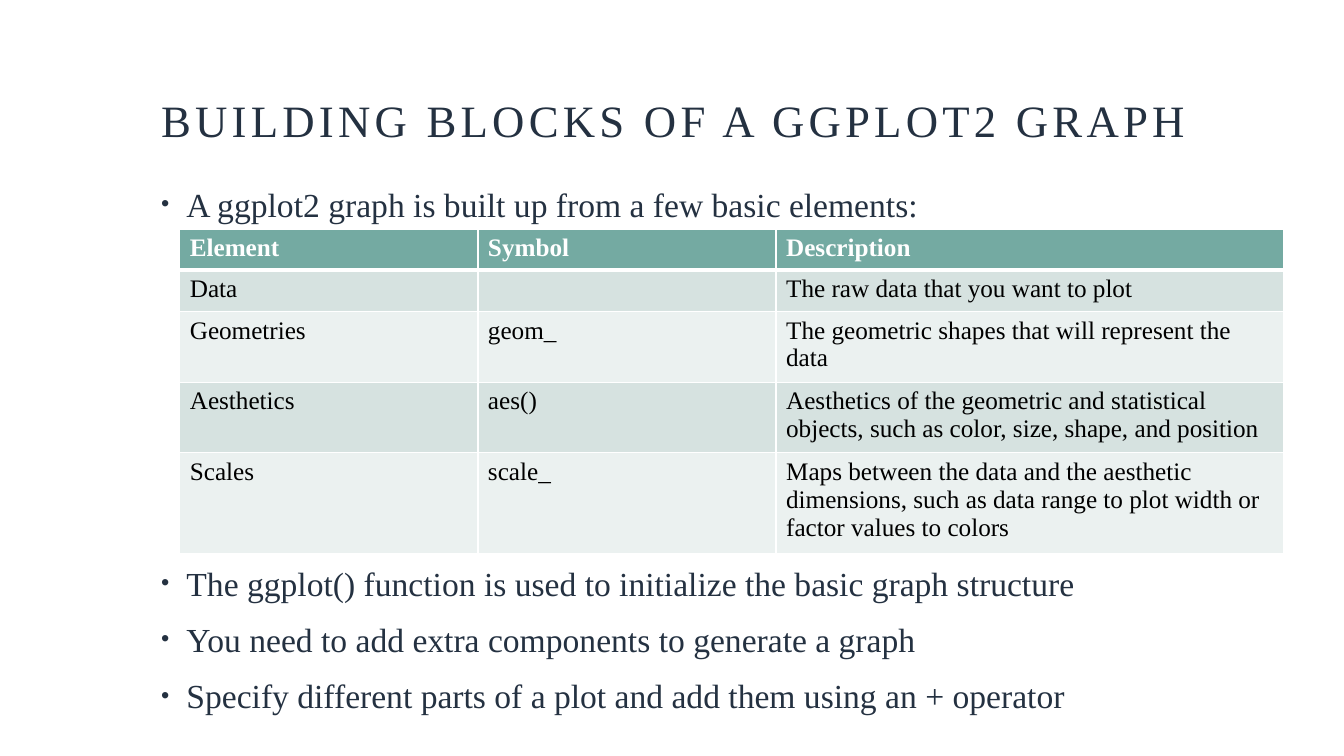
from lxml import etree
from pptx import Presentation
from pptx.dml.color import RGBColor
from pptx.enum.text import MSO_ANCHOR
from pptx.oxml.ns import qn
from pptx.util import Cm, Pt

BOTTOM = MSO_ANCHOR.BOTTOM
FONT = "Times New Roman"
NAVY = RGBColor(0x24, 0x31, 0x41)
TEAL = RGBColor(0x74, 0xAA, 0xA2)
BAND_DARK = RGBColor(0xD6, 0xE2, 0xE0)
BAND_LIGHT = RGBColor(0xEB, 0xF1, 0xF0)
WHITE = RGBColor(0xFF, 0xFF, 0xFF)
BLACK = RGBColor(0x00, 0x00, 0x00)

TITLE = "BUILDING BLOCKS OF A GGPLOT2 GRAPH"
INTRODUCTION = ["A ggplot2 graph is built up from a few basic elements:"]
STEPS = [
    "The ggplot() function is used to initialize the basic graph structure",
    "You need to add extra components to generate a graph",
    "Specify different parts of a plot and add them using an + operator",
]
ELEMENTS = [
    ("Element", "Symbol", "Description"),
    ("Data", "", "The raw data that you want to plot"),
    ("Geometries", "geom_", "The geometric shapes that will represent the data"),
    ("Aesthetics", "aes()", "Aesthetics of the geometric and statistical objects, "
     "such as color, size, shape, and position"),
    ("Scales", "scale_", "Maps between the data and the aesthetic dimensions, "
     "such as data range to plot width or factor values to colors"),
]
COLUMN_SHARES = (0.27, 0.27, 0.46)
ROW_HEIGHTS = (1.04, 1.04, 1.66, 1.66, 2.36)


def set_font(paragraph, size, color, bold=False):
    """Set the font of a whole paragraph."""
    font = paragraph.font
    font.name, font.size, font.bold = FONT, Pt(size), bold
    font.color.rgb = color


def add_title(slide, left, top, width, height):
    """Add the letter-spaced title, resting on the bottom of its box."""
    frame = slide.shapes.add_textbox(Cm(left), Cm(top), Cm(width), Cm(height)).text_frame
    frame.word_wrap = True
    frame.vertical_anchor = BOTTOM
    paragraph = frame.paragraphs[0]
    run = paragraph.add_run()
    run.text = TITLE
    paragraph.line_spacing = 0.9
    set_font(paragraph, 32, NAVY)
    run.font._element.set("spc", "300")


def add_bullets(slide, lines, left, top, width, height):
    """Add a bulleted list, one paragraph for each line."""
    frame = slide.shapes.add_textbox(Cm(left), Cm(top), Cm(width), Cm(height)).text_frame
    frame.word_wrap = True
    for index, line in enumerate(lines):
        paragraph = frame.add_paragraph() if index else frame.paragraphs[0]
        paragraph.text = line
        if index:
            paragraph.space_before = Pt(11.3)
        properties = paragraph._p.get_or_add_pPr()
        properties.set("marL", str(Cm(0.64)))
        properties.set("indent", str(Cm(-0.64)))
        etree.SubElement(properties, qn("a:buSzPct"), val="70000")
        etree.SubElement(properties, qn("a:buFont"), typeface="Arial")
        etree.SubElement(properties, qn("a:buChar"), char="•")
        set_font(paragraph, 24, NAVY)


def set_borders(cell, bottom_width):
    """Draw white cell borders, with a chosen width at the bottom."""
    properties = cell._tc.get_or_add_tcPr()
    sides = (("lnL", 1), ("lnR", 1), ("lnT", 1), ("lnB", bottom_width))
    for position, (side, width) in enumerate(sides):
        line = etree.Element(qn(f"a:{side}"), w=str(Pt(width)))
        fill = etree.SubElement(line, qn("a:solidFill"))
        etree.SubElement(fill, qn("a:srgbClr"), val=str(WHITE))
        properties.insert(position, line)


def add_elements_table(slide, left, top, width):
    """Add the banded table of graph elements."""
    table = slide.shapes.add_table(
        len(ELEMENTS), len(COLUMN_SHARES),
        Cm(left), Cm(top), Cm(width), Cm(sum(ROW_HEIGHTS))).table
    for column, share in zip(table.columns, COLUMN_SHARES):
        column.width = Cm(width * share)
    for row_index, (row, height) in enumerate(zip(table.rows, ROW_HEIGHTS)):
        row.height = Cm(height)
        header = row_index == 0
        band = BAND_DARK if row_index % 2 else BAND_LIGHT
        for cell, text in zip(row.cells, ELEMENTS[row_index]):
            cell.text = text
            cell.fill.solid()
            cell.fill.fore_color.rgb = TEAL if header else band
            set_font(cell.text_frame.paragraphs[0], 18,
                     WHITE if header else BLACK, header)
            set_borders(cell, 3 if row_index == 0 else 1)


def build_slide(presentation):
    """Build the slide on the building blocks of a graph."""
    slide = presentation.slides.add_slide(presentation.slide_layouts[6])
    left, width = 3.81, 26.37
    add_title(slide, left, 0.03, width, 3.81)
    add_bullets(slide, INTRODUCTION, left, 4.5, width, 1.25)
    add_elements_table(slide, 4.53, 5.77, 27.83)
    add_bullets(slide, STEPS, left, 14.05, width, 4.2)


def main():
    """Create the presentation and save it."""
    presentation = Presentation()
    presentation.slide_width, presentation.slide_height = Cm(33.87), Cm(19.05)
    build_slide(presentation)
    presentation.save("out.pptx")


if __name__ == "__main__":
    main()
